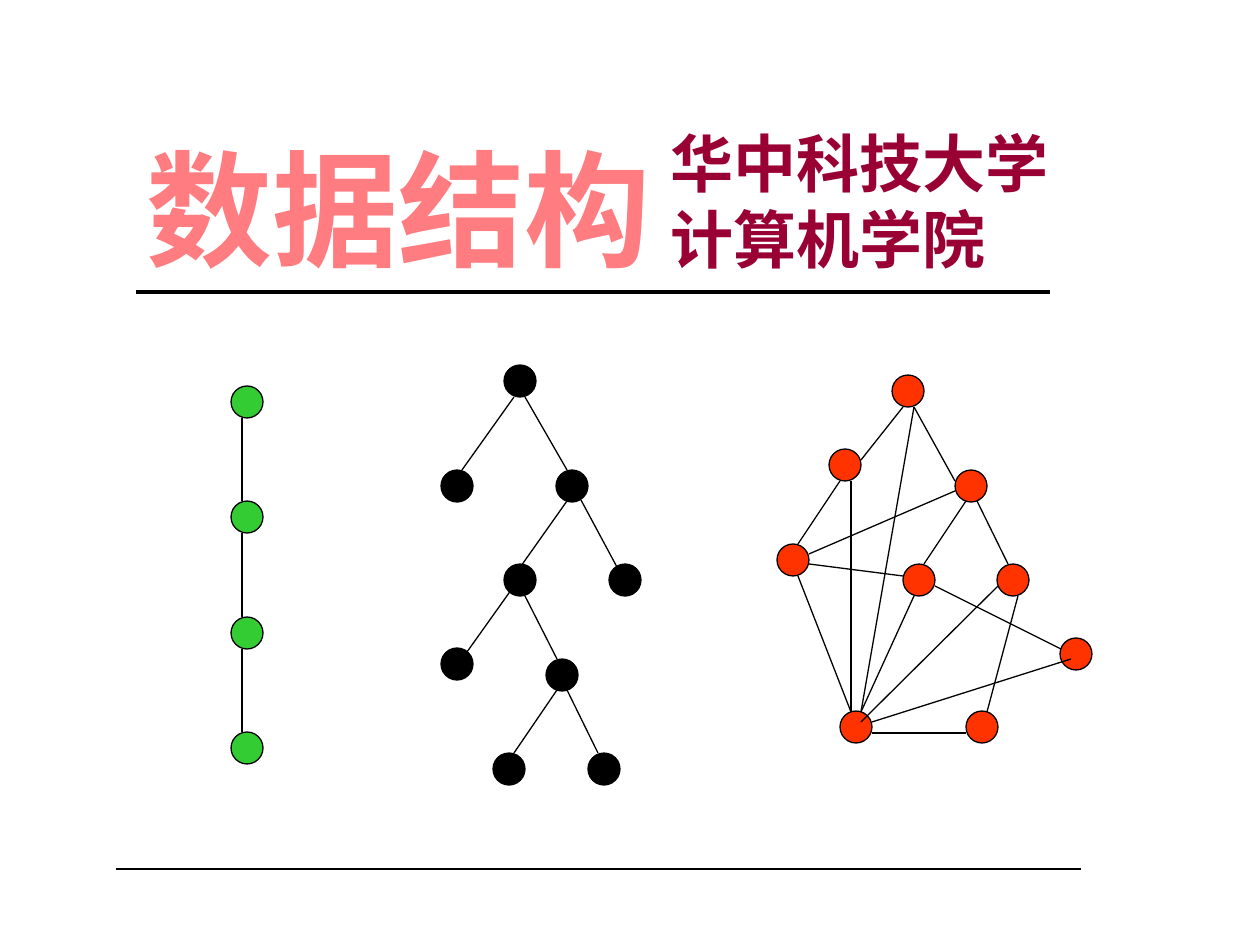
from itertools import pairwise

from lxml.etree import SubElement
from pptx import Presentation
from pptx.dml.color import RGBColor
from pptx.enum.shapes import MSO_CONNECTOR as Connector, MSO_SHAPE as Shape
from pptx.oxml.ns import qn
from pptx.util import Emu, Pt

COLORS = {
    "ink": "000000",
    "list": "33CC33",
    "tree": "000000",
    "graph": "FF3300",
    "course": "FF7C80",
    "school": "990033",
}
NODE_SIZE = 32
LIST_NODES = [(247, 402 + step * 231 // 2) for step in range(4)]
LIST_EDGES = [
    (242, upper + NODE_SIZE // 2, 242, lower - NODE_SIZE // 2)
    for (_, upper), (_, lower) in pairwise(LIST_NODES)
]
TREE_NODES = [
    (520, 381), (457, 486), (572, 486), (520, 580), (625, 580),
    (457, 664), (562, 675), (509, 769), (604, 769),
]
TREE_EDGES = [
    (514, 397, 462, 470), (525, 397, 567, 470),
    (567, 501, 514, 576), (581, 500, 617, 567),
    (514, 586, 462, 659), (525, 596, 557, 659),
    (557, 690, 514, 753), (567, 690, 598, 753),
]
GRAPH_NODES = [
    (908, 391), (845, 465), (971, 486), (793, 560), (919, 580),
    (1013, 580), (1076, 654), (856, 727), (982, 727),
]
GRAPH_EDGES = [
    (903, 407, 861, 460), (914, 407, 955, 481), (914, 407, 861, 712),
    (840, 481, 798, 544), (851, 481, 851, 712), (809, 554, 955, 491),
    (966, 501, 924, 564), (977, 501, 1008, 564), (798, 576, 851, 712),
    (809, 564, 903, 576), (935, 586, 1061, 649), (914, 596, 861, 712),
    (998, 586, 861, 722), (1018, 596, 987, 712), (872, 722, 1071, 659),
    (872, 733, 966, 733),
]


def px(length):
    """Turn pixels into EMU."""
    return Emu(round(length * 914400 / 126))


def color(name):
    """Look up a named colour."""
    return RGBColor.from_string(COLORS[name])


def add_line(slide, ends, weight=0.75):
    """Draw a straight line between two points."""
    line = slide.shapes.add_connector(Connector.STRAIGHT, *map(px, ends))
    line.line.color.rgb = color("ink")
    line.line.width = Pt(weight)
    SubElement(line.element.spPr, qn("a:effectLst"))


def add_node(slide, center, fill):
    """Draw a round node about its center."""
    corner = [px(value - NODE_SIZE / 2) for value in center]
    node = slide.shapes.add_shape(Shape.OVAL, *corner, px(NODE_SIZE), px(NODE_SIZE))
    node.shadow.inherit = False
    node.fill.solid()
    node.fill.fore_color.rgb = color(fill)
    node.line.color.rgb = color("ink")
    node.line.width = Pt(0.75)


def add_structure(slide, nodes, edges, fill):
    """Draw the nodes of a data structure and the edges joining them."""
    for center in nodes:
        add_node(slide, center, fill)
    for ends in edges:
        add_line(slide, ends)


def add_heading(slide, left, width, lines, size, typeface, ink, top_margin):
    """Write bold heading lines with a fixed line height."""
    frame = slide.shapes.add_textbox(px(left), px(113), px(width), px(164)).text_frame
    frame.word_wrap = False
    frame.margin_top = px(top_margin)
    frame.text = "\n".join(lines)
    for paragraph in frame.paragraphs:
        paragraph.line_spacing = Pt(size * 1.2)
        font = paragraph.font
        font.size = Pt(size)
        font.bold = True
        font.color.rgb = color(ink)
        font.name = typeface
        properties = paragraph._p.pPr.find(qn("a:defRPr"))
        SubElement(properties, qn("a:ea"), typeface=typeface)


def main():
    """Build the title slide."""
    deck = Presentation()
    deck.slide_width, deck.slide_height = px(1260), px(945)
    slide = deck.slides.add_slide(deck.slide_layouts[6])
    add_heading(slide, 134, 529, ["数据结构"], 72, "Noto Sans CJK JP", "course", 19)
    add_heading(slide, 658, 403, ["华中科技大学", "计算机学院"], 36,
                "Noto Sans CJK SC", "school", 12)
    add_line(slide, (136, 292, 1050, 292), 2.25)
    add_structure(slide, LIST_NODES, LIST_EDGES, "list")
    add_structure(slide, TREE_NODES, TREE_EDGES, "tree")
    add_structure(slide, GRAPH_NODES, GRAPH_EDGES, "graph")
    add_line(slide, (116, 869, 1081, 869))
    deck.save("out.pptx")


if __name__ == "__main__":
    main()
